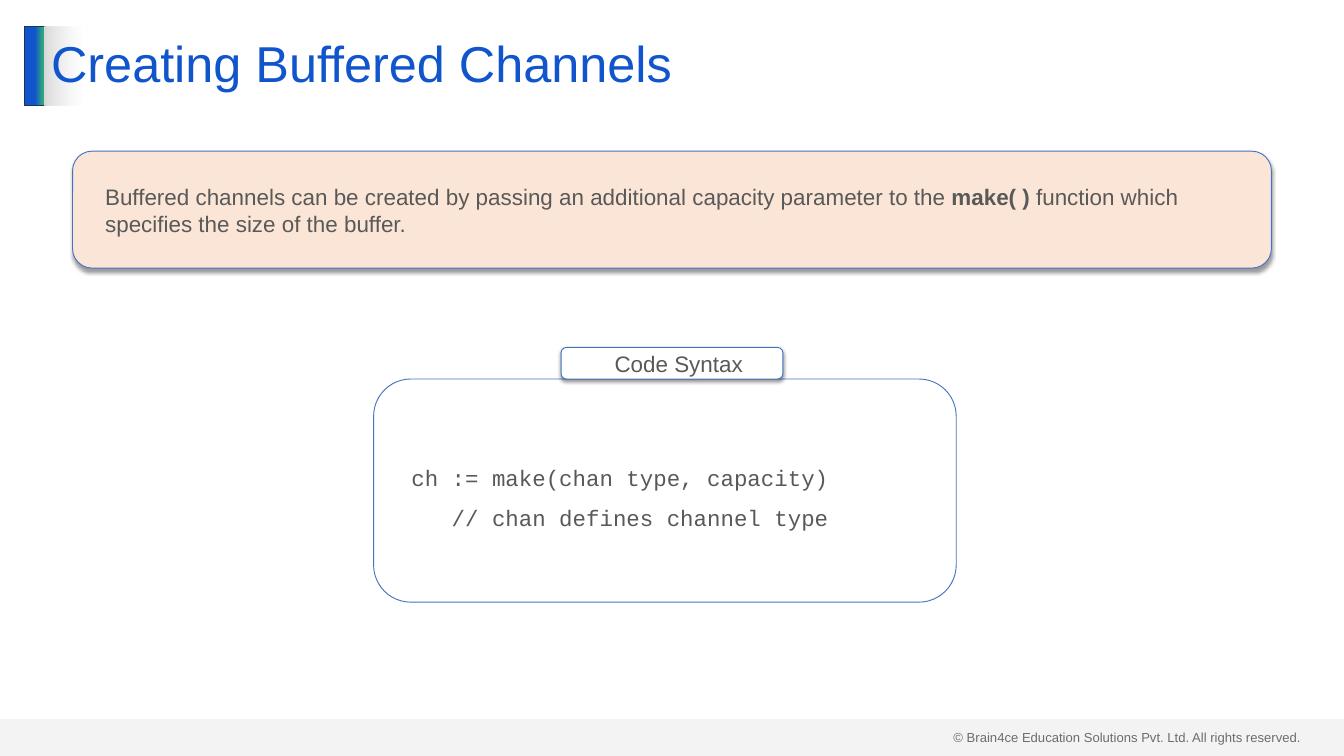
from lxml import etree
from pptx import Presentation
from pptx.dml.color import RGBColor
from pptx.enum.shapes import MSO_SHAPE
from pptx.enum.text import MSO_ANCHOR, PP_ALIGN
from pptx.oxml.ns import qn
from pptx.util import Inches, Pt

RECT = MSO_SHAPE.RECTANGLE
ROUNDED = MSO_SHAPE.ROUNDED_RECTANGLE
MIDDLE = MSO_ANCHOR.MIDDLE
LEFT, CENTER = PP_ALIGN.LEFT, PP_ALIGN.CENTER

BLUE, OUTLINE, GRAY = "1155CC", "4472C4", "595959"
BODY = {"name": "Arial", "size": Pt(24), "color": GRAY}
CODE = {**BODY, "name": "Courier New"}
HEADING = {**BODY, "size": Pt(54), "color": BLUE}
FOOTER = {**BODY, "size": Pt(14), "color": "404040"}


def rgb(value):
    return RGBColor.from_string(value)


def add_color(parent, value, opacity=100):
    color = etree.SubElement(parent, qn("a:srgbClr"), val=value)
    if opacity < 100:
        etree.SubElement(color, qn("a:alpha"), val=str(opacity * 1000))
    return color


class SlideBuilder:
    def __init__(self, deck):
        self.page = deck.slides.add_slide(deck.slide_layouts[5])

    def shape(self, kind, place, fill=None, opacity=100, line=None, shadow=False):
        box = self.page.shapes.add_shape(kind, *map(Inches, place))
        box.shadow.inherit = False
        if fill:
            box.fill.solid()
            box.fill.fore_color.rgb = rgb(fill)
            if opacity < 100:
                color = box.element.spPr.find(qn("a:solidFill"))[0]
                etree.SubElement(color, qn("a:alpha"), val=str(opacity * 1000))
        else:
            box.fill.background()
        if line:
            box.line.color.rgb = rgb(line)
            box.line.width = Pt(1)
        else:
            box.line.fill.background()
        if shadow:
            effects = box.element.spPr.find(qn("a:effectLst"))
            outer = etree.SubElement(effects, qn("a:outerShdw"), blurRad=str(Pt(4)),
                                     dist=str(Pt(3)), dir="5400000",
                                     algn="t", rotWithShape="0")
            add_color(outer, "000000", 40)
        return box

    def gradient(self, box, stops):
        box.fill.background()
        properties = box.element.spPr
        gradient = etree.Element(qn("a:gradFill"), rotWithShape="1")
        stop_list = etree.SubElement(gradient, qn("a:gsLst"))
        for position, color, opacity in stops:
            stop = etree.SubElement(stop_list, qn("a:gs"), pos=str(position * 1000))
            add_color(stop, color, opacity)
        etree.SubElement(gradient, qn("a:lin"), ang="0", scaled="0")
        properties.replace(properties.find(qn("a:noFill")), gradient)

    def span(self, para, text, style, bold=False):
        span = para.add_run()
        span.text = text
        span.font.bold = bold
        for name, value in style.items():
            if name == "color":
                span.font.color.rgb = rgb(value)
            else:
                setattr(span.font, name, value)

    def title(self, text, place):
        box = self.page.shapes.title
        box.left, box.top, box.width, box.height = map(Inches, place)
        self.gradient(box, [(0, "D9D9D9", 100), (3, "FFFFFF", 50)])
        box.text_frame.vertical_anchor = MIDDLE
        para = box.text_frame.paragraphs[0]
        para.alignment = LEFT
        para.line_spacing = 0.9
        self.span(para, text, HEADING)
        box.element.getparent().append(box.element)

    def footer(self, text, place):
        frame = self.page.shapes.add_textbox(*map(Inches, place)).text_frame
        frame.word_wrap = True
        self.span(frame.paragraphs[0], text, FOOTER)

    def panel(self, place, lines, style=BODY, align=LEFT, spacing=1.0, **look):
        box = self.shape(ROUNDED, place, line=OUTLINE, **look)
        frame = box.text_frame
        margins = {"margin_left": 0.2, "margin_right": 0.2,
                   "margin_top": 0.1, "margin_bottom": 0.1}
        for name, value in margins.items():
            setattr(frame, name, Inches(value))
        frame.word_wrap = True
        frame.vertical_anchor = MIDDLE
        para = frame.paragraphs[0]
        para.alignment = align
        para.line_spacing = spacing
        para.space_after = Pt(12)
        para._p.get_or_add_pPr().set("marL", str(Inches(0.2)))
        for index, line in enumerate(lines):
            if index:
                para.add_line_break()
            for text, bold in line:
                self.span(para, text, style, bold)


def main():
    deck = Presentation()
    deck.slide_width, deck.slide_height = Inches(20), Inches(11.25)
    slide = SlideBuilder(deck)

    slide.footer("© Brain4ce Education Solutions Pvt. Ltd. All rights reserved.",
                 (14.09, 10.8, 5.41, 0.34))
    accent = slide.shape(RECT, (0.37, 0.39, 0.3, 1.18), line="1E3256")
    slide.gradient(accent, [(51, BLUE, 100), (90, "2EA87D", 100), (100, "2EA87D", 100)])
    slide.shape(RECT, (0, 10.7, 20, 0.55), fill="D9D9D9", opacity=29)
    slide.title("Creating Buffered Channels", (0.66, 0.39, 18.67, 1.18))

    slide.panel((1.08, 2.25, 17.84, 1.74),
                [[("Buffered channels can be created by passing an additional "
                   "capacity parameter to the ", False),
                  ("make( )", True),
                  (" function which specifies the size of the buffer.", False)]],
                fill="FBE5D6", shadow=True)
    slide.panel((5.56, 5.64, 8.67, 3.32),
                [[("ch := make(chan type, capacity)", False)],
                 [("   // chan defines channel type", False)]],
                style=CODE, spacing=1.5)
    slide.panel((8.35, 5.17, 3.3, 0.47), [[("Code Syntax", False)]],
                align=CENTER, fill="FFFFFF", shadow=True)

    deck.save("out.pptx")


if __name__ == "__main__":
    main()
